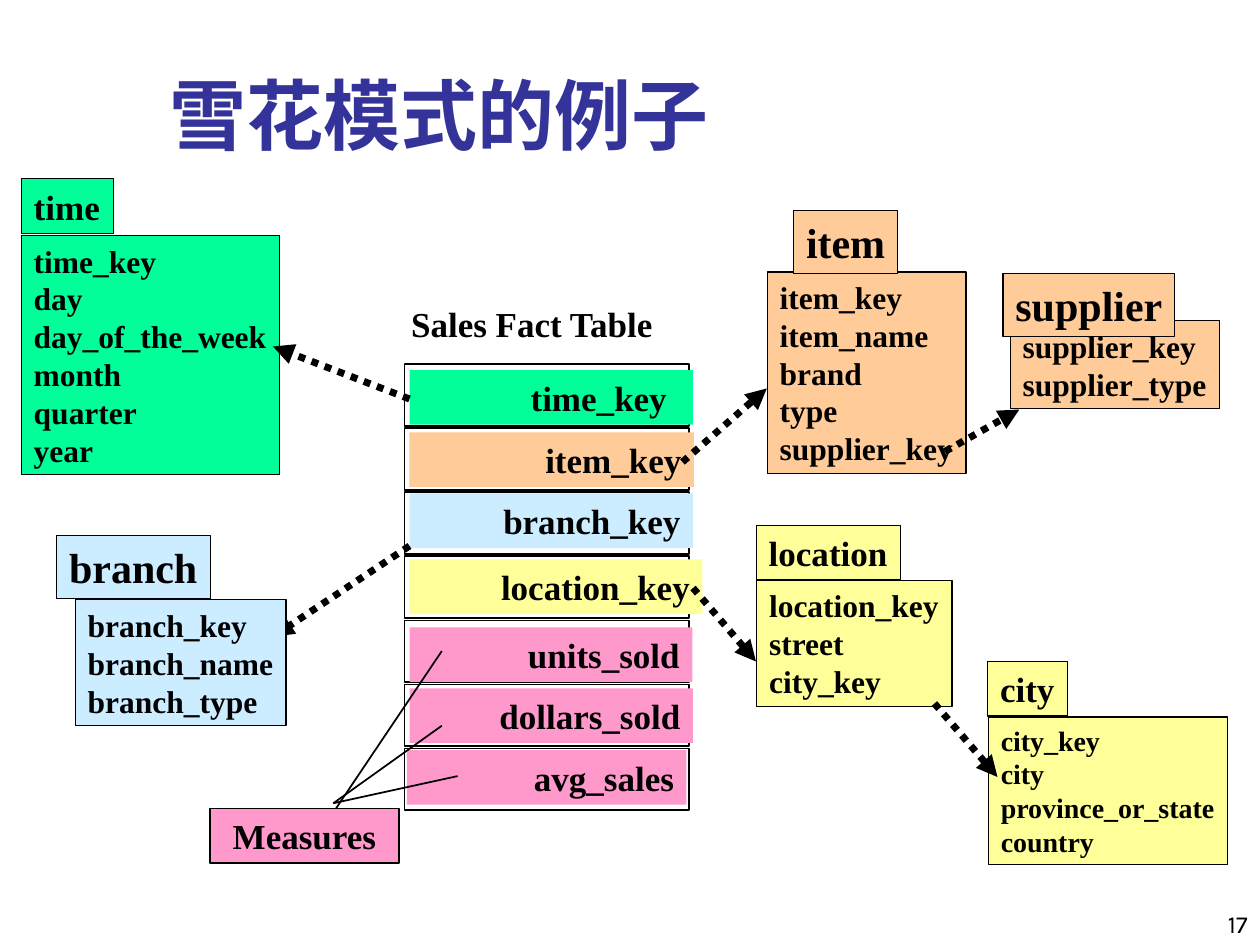
import lxml.etree
import pptx
import pptx.util
import pptx.dml.color
import pptx.enum.dml
import pptx.enum.shapes
import pptx.enum.text
import pptx.oxml.ns

Pt = pptx.util.Pt
RGBColor = pptx.dml.color.RGBColor
ALIGN = pptx.enum.text.PP_ALIGN
ANCHOR = pptx.enum.text.MSO_ANCHOR
qn = pptx.oxml.ns.qn

BLACK = RGBColor(0x00, 0x00, 0x00)
INDIGO = RGBColor(0x33, 0x33, 0x99)
GREEN = RGBColor(0x00, 0xFF, 0x99)
ORANGE = RGBColor(0xFF, 0xCC, 0x99)
BLUE = RGBColor(0xCC, 0xEC, 0xFF)
YELLOW = RGBColor(0xFF, 0xFF, 0x99)
PINK = RGBColor(0xFF, 0x99, 0xCC)
SERIF = "Times New Roman"

# Name, colour, name size, name box, column size, column box, columns
DIMENSIONS = [
    ("time", GREEN, 20, (12.2, 102.2, 52.6, 31.2), 18, (12.2, 134.6, 147.6, 136.8),
     ["time_key", "day", "day_of_the_week", "month", "quarter", "year"]),
    ("location", YELLOW, 20, (432.2, 300.1, 82.5, 31.2), 18, (432.4, 331.6, 111.7, 72.2),
     ["location_key", "street", "city_key"]),
    ("item", ORANGE, 24, (453.5, 120.2, 59.5, 36), 18, (438.5, 155.4, 113.6, 115.2),
     ["item_key", "item_name", "brand", "type", "supplier_key"]),
    ("supplier", ORANGE, 24, (573.1, 156.4, 98.1, 36), 18, (577.3, 183.2, 119.7, 50.4),
     ["supplier_key", "supplier_type"]),
    ("city", YELLOW, 20, (564.4, 378, 45.8, 31.2), 16, (564.8, 409.8, 136.6, 84.2),
     ["city_key", "city", "province_or_state", "country"]),
]
BRANCH = ("branch", BLUE, 24, (32.4, 306, 87.8, 36), 18, (43, 342.8, 120.5, 72),
          ["branch_key", "branch_name", "branch_type"])

# Column, colour, bar left, bar top, bar width, right inset
FACT_COLUMNS = [
    ("time_key", GREEN, 234, 211.5, 162, 14.9),
    ("item_key", ORANGE, 234, 247, 162.6, 7.2),
    ("branch_key", BLUE, 234, 282, 162, 7.2),
    ("location_key", YELLOW, 234, 319.7, 167.4, 7.2),
    ("units_sold", PINK, 234, 358.5, 161.6, 7.2),
    ("dollars_sold", PINK, 234, 393.3, 162, 7.2),
    ("avg_sales", PINK, 232.5, 428.6, 159.8, 7.2),
]
FACT_LEFT, FACT_TOP, FACT_PITCH = 231.1, 208.1, 36.6
FACT_WIDTH, FACT_HEIGHT, BAR_HEIGHT = 162.7, 35.3, 31.2

MEASURE_LINES = [
    ((192, 462), (252.5, 372)),
    ((190.5, 459), (252.5, 414.7)),
    ((190.5, 459), (261.5, 443.5)),
]
KEY_ARROWS = [
    ((234, 312), (156, 363.8)),
    ((234, 228), (156, 198)),
    ((396, 336), (432, 378)),
    ((390, 264), (438.2, 222)),
    ((540, 258), (582.5, 234)),
    ((534, 402), (570, 444)),
]

deck = pptx.Presentation()
deck.slide_width, deck.slide_height = Pt(720), Pt(540)
slide = deck.slides.add_slide(deck.slide_layouts[6])


def write(shape, lines, size, color=BLACK, align=ALIGN.LEFT, anchor=ANCHOR.TOP,
          wrap=False, font=SERIF, bold=True, right_inset=7.2):
    frame = shape.text_frame
    frame.word_wrap = wrap
    frame.vertical_anchor = anchor
    frame.margin_right = Pt(right_inset)
    for index, line in enumerate(lines):
        paragraph = frame.paragraphs[0] if index == 0 else frame.add_paragraph()
        paragraph.alignment = align
        run = paragraph.add_run()
        run.text = line
        run.font.size, run.font.bold, run.font.name = Pt(size), bold, font
        run.font.color.rgb = color


def add_text(box, *args, **style):
    write(slide.shapes.add_textbox(*map(Pt, box)), *args, **style)


def add_box(box, fill=None, line_width=None):
    shape = slide.shapes.add_shape(pptx.enum.shapes.MSO_SHAPE.RECTANGLE, *map(Pt, box))
    shape.shadow.inherit = False
    if fill is None:
        shape.fill.background()
    else:
        shape.fill.solid()
        shape.fill.fore_color.rgb = fill
    if line_width is None:
        shape.line.fill.background()
    else:
        shape.line.color.rgb = BLACK
        shape.line.width = Pt(line_width)
    return shape


def add_line(start, end, width, dotted_arrow=False):
    line = slide.shapes.add_connector(
        pptx.enum.shapes.MSO_CONNECTOR.STRAIGHT, *map(Pt, start + end))
    line.line.color.rgb = BLACK
    line.line.width = Pt(width)
    properties = line._element.spPr
    if dotted_arrow:
        line.line.dash_style = pptx.enum.dml.MSO_LINE.ROUND_DOT
        lxml.etree.SubElement(properties.find(qn("a:ln")), qn("a:tailEnd"), type="triangle")
    lxml.etree.SubElement(properties, qn("a:effectLst"))


def add_dimension(name, color, name_size, name_box, column_size, column_box, columns):
    write(add_box(column_box, color, 0.75), columns, column_size)
    write(add_box(name_box, color, 0.75), [name], name_size)


add_text((90, 30.2, 577.4, 64.8), ["雪花模式的例子"], 44, INDIGO,
         anchor=ANCHOR.BOTTOM, wrap=True)
for dimension in DIMENSIONS:
    add_dimension(*dimension)

add_text((227.8, 169.2, 154.8, 31.2), ["Sales Fact Table"], 20)
for row, (column, color, left, top, width, inset) in enumerate(FACT_COLUMNS):
    add_box((FACT_LEFT, FACT_TOP + row * FACT_PITCH, FACT_WIDTH, FACT_HEIGHT), line_width=1)
    write(add_box((left, top, width, BAR_HEIGHT), color), [column], 20,
          align=ALIGN.RIGHT, wrap=True, right_inset=inset)

write(add_box((120, 462, 108, 31.2), PINK, 0.75), ["Measures"], 20,
      align=ALIGN.CENTER, wrap=True)
for start, end in MEASURE_LINES:
    add_line(start, end, 1)
for start, end in KEY_ARROWS:
    add_line(start, end, 4, dotted_arrow=True)
# The branch table covers the tip of its arrow, so it comes last
add_dimension(*BRANCH)

add_text((570, 504, 150, 36), ["17"], 14, align=ALIGN.RIGHT, anchor=ANCHOR.BOTTOM,
         wrap=True, font="Karla", bold=False)

deck.save("out.pptx")
